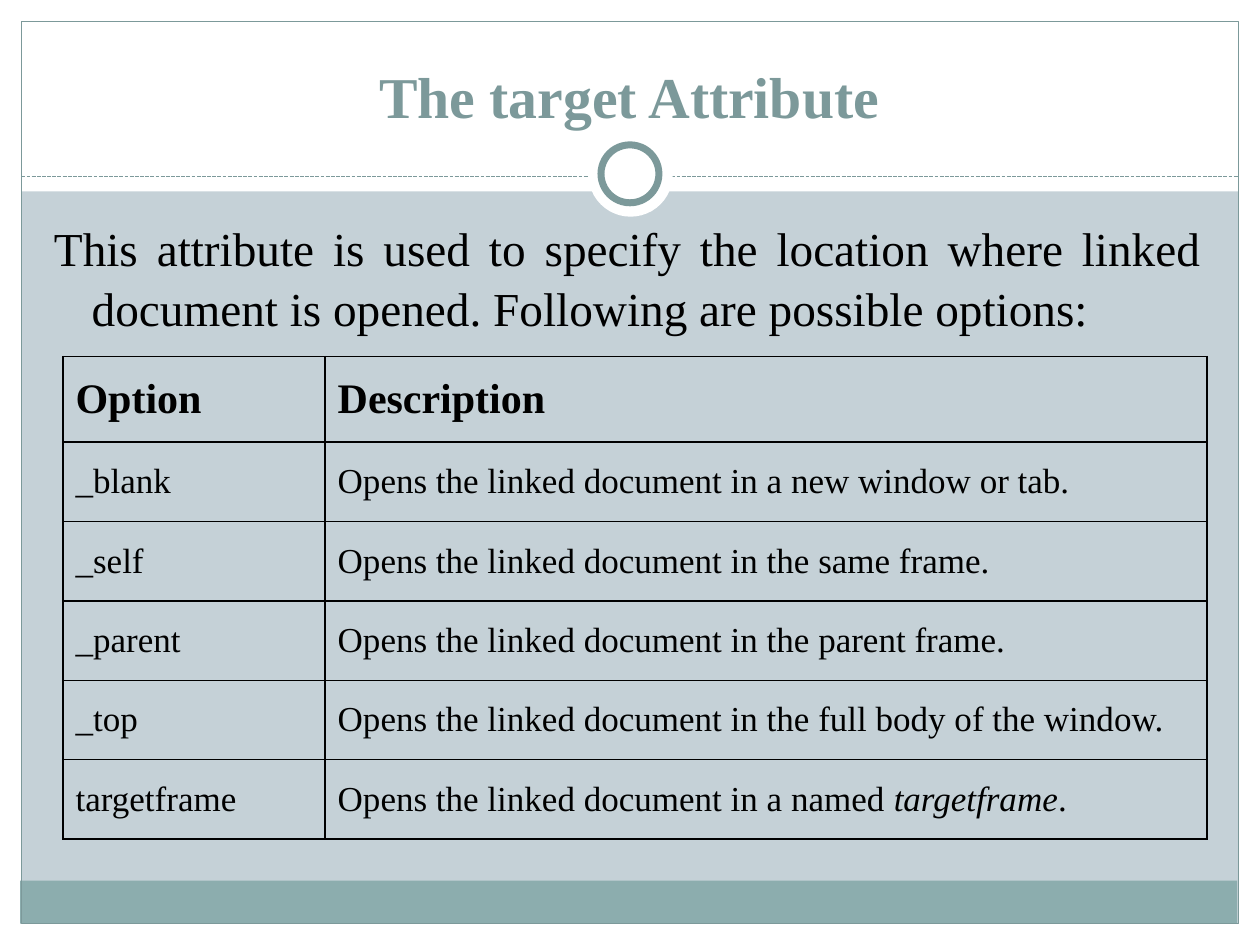
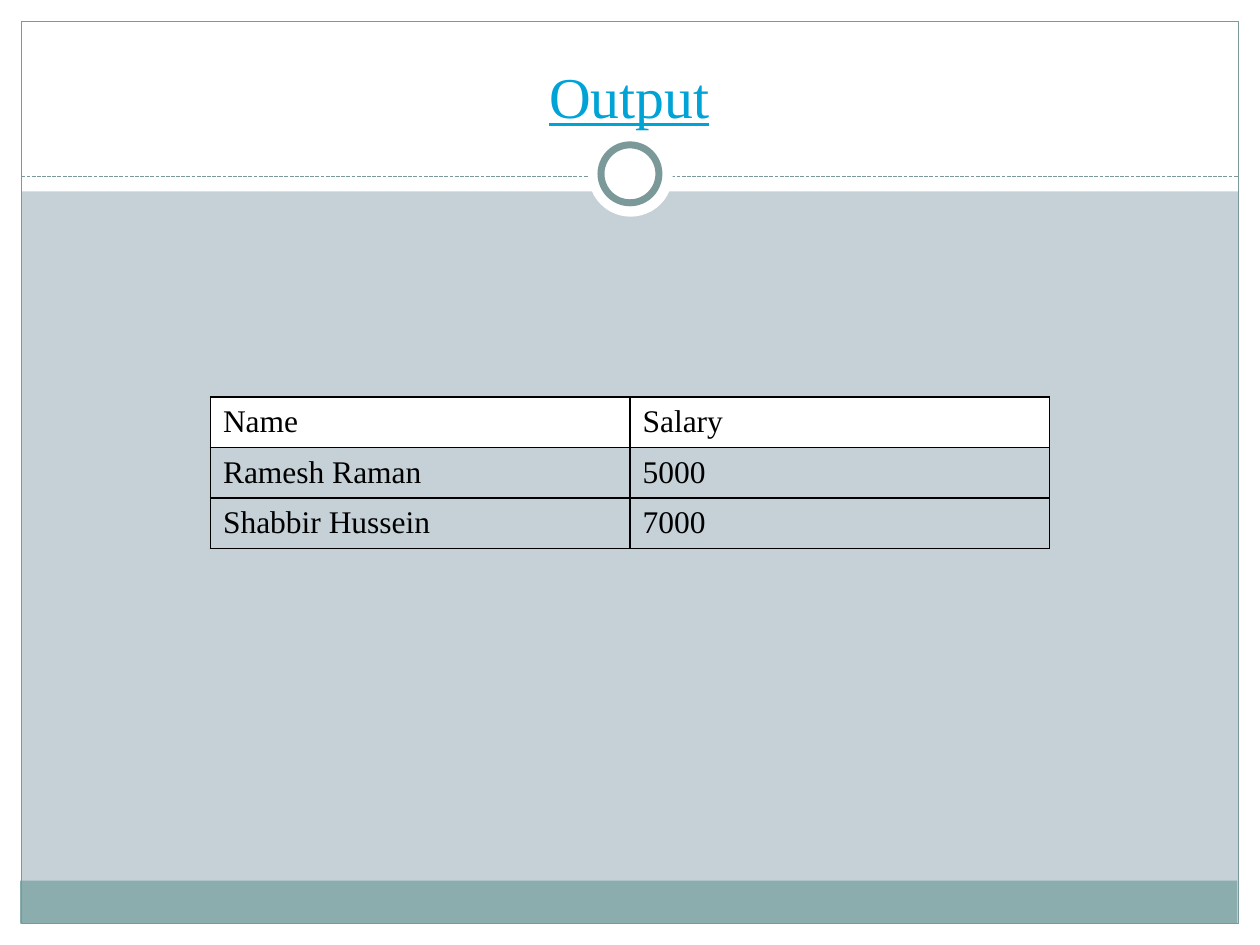
import pptx
import pptx.dml.color
import pptx.enum.dml
import pptx.enum.shapes
import pptx.enum.text
import pptx.oxml
import pptx.oxml.ns
import pptx.util
from lxml import etree

Inches = pptx.util.Inches
Pt = pptx.util.Pt
Align = pptx.enum.text.PP_ALIGN
Anchor = pptx.enum.text.MSO_ANCHOR
Shape = pptx.enum.shapes.MSO_SHAPE

COLORS = {
    "background": "C5D1D7",
    "white": "FFFFFF",
    "footer": "8CADAE",
    "accent": "7C999A",
    "link": "00A3D6",
    "text": "000000",
}
FONT = "Times New Roman"


def rgb(name):
    return pptx.dml.color.RGBColor.from_string(COLORS[name])


class Deck:
    """Holds the style and the current slide."""

    def __init__(self):
        self.presentation = pptx.Presentation()
        self.presentation.slide_width = Inches(10)
        self.presentation.slide_height = Inches(7.5)
        self.slide = None

    def add_slide(self):
        self.slide = self.presentation.slides.add_slide(self.presentation.slide_layouts[6])
        fill = self.slide.background.fill
        fill.solid()
        fill.fore_color.rgb = rgb("background")
        self.add_frame()

    def add_frame(self):
        # White margins and header
        for box in [(0, 7.33, 10, 0.17), (0, 0, 10, 1.52),
                    (0, 0, 0.17, 7.5), (9.83, 0, 0.17, 7.5)]:
            self.add_shape(Shape.RECTANGLE, box, "white")
        # Footer band, outline and dashed rule
        self.add_shape(Shape.RECTANGLE, (0.16, 6.99, 9.66, 0.34), "footer")
        self.add_shape(Shape.RECTANGLE, (0.17, 0.17, 9.66, 7.16), line_width=0.75)
        self.add_dashed_line(0.17, 9.83, 1.4)
        # Ring on the rule
        self.add_shape(Shape.OVAL, (4.67, 1.05, 0.67, 0.67), "white")
        self.add_shape(Shape.OVAL, (4.77, 1.15, 0.46, 0.46), "white", line_width=4)

    def add_shape(self, kind, box, fill=None, line_width=None):
        shape = self.slide.shapes.add_shape(kind, *map(Inches, box))
        shape.shadow.inherit = False
        if fill:
            shape.fill.solid()
            shape.fill.fore_color.rgb = rgb(fill)
        else:
            shape.fill.background()
        if line_width:
            shape.line.color.rgb = rgb("accent")
            shape.line.width = Pt(line_width)
        else:
            shape.line.fill.background()

    def add_dashed_line(self, left, right, top):
        connector = self.slide.shapes.add_connector(
            pptx.enum.shapes.MSO_CONNECTOR.STRAIGHT,
            Inches(left), Inches(top), Inches(right), Inches(top))
        connector.line.color.rgb = rgb("accent")
        connector.line.width = Pt(0.75)
        connector.line.dash_style = pptx.enum.dml.MSO_LINE.SQUARE_DOT
        properties = connector.element.spPr
        etree.SubElement(properties, pptx.oxml.ns.qn("a:effectLst"))

    def add_run(self, paragraph, text, size, color="text", **emphasis):
        run = paragraph.add_run()
        run.text = text
        run.font.name = FONT
        run.font.size = Pt(size)
        run.font.color.rgb = rgb(color)
        for name, value in emphasis.items():
            setattr(run.font, name, value)

    def add_text_box(self, box, anchor, alignment):
        frame = self.slide.shapes.add_textbox(*map(Inches, box)).text_frame
        frame.word_wrap = True
        frame.vertical_anchor = anchor
        paragraph = frame.paragraphs[0]
        paragraph.alignment = alignment
        return paragraph

    def add_title(self, text, color="accent", **emphasis):
        paragraph = self.add_text_box((0.33, 0.25, 9.33, 0.83), Anchor.BOTTOM, Align.CENTER)
        self.add_run(paragraph, text, 33, color, **emphasis)

    def add_body(self, text):
        paragraph = self.add_text_box((0.33, 1.67, 9.3, 5), Anchor.TOP, Align.JUSTIFY)
        paragraph.line_spacing = 1.05
        paragraph.space_before = Pt(1)
        properties = paragraph._p.get_or_add_pPr()
        properties.set("marL", str(Inches(0.3)))
        properties.set("indent", str(Inches(-0.3)))
        self.add_run(paragraph, text, 27)

    def add_table(self, left, top, widths, heights, rows, size,
                  header_size, header_bold=False, header_fill=None):
        """Each cell is a string, or a list of (text, italic) runs."""
        table = self.slide.shapes.add_table(
            len(rows), len(widths), Inches(left), Inches(top),
            Inches(sum(widths)), Inches(sum(heights))).table
        table.first_row = table.horz_banding = False
        for column, width in zip(table.columns, widths):
            column.width = Inches(width)
        for index, (row, height, contents) in enumerate(zip(table.rows, heights, rows)):
            row.height = Inches(height)
            header = index == 0
            for cell, content in zip(row.cells, contents):
                self.style_cell(cell, header_fill if header else None)
                runs = [(content, False)] if isinstance(content, str) else content
                for text, italic in runs:
                    self.add_run(cell.text_frame.paragraphs[0], text,
                                 header_size if header else size,
                                 bold=header and header_bold, italic=italic)

    def style_cell(self, cell, fill):
        cell.vertical_anchor = Anchor.MIDDLE
        properties = cell._tc.get_or_add_tcPr()
        for side in ("lnL", "lnR", "lnT", "lnB"):
            properties.append(pptx.oxml.parse_xml(
                f'<a:{side} {pptx.oxml.ns.nsdecls("a")} w="{Pt(1)}"><a:solidFill>'
                f'<a:srgbClr val="{COLORS["text"]}"/></a:solidFill></a:{side}>'))
        if fill:
            cell.fill.solid()
            cell.fill.fore_color.rgb = rgb(fill)
        else:
            cell.fill.background()


def main():
    deck = Deck()

    # Target attribute options
    deck.add_slide()
    deck.add_title("The target Attribute", bold=True)
    deck.add_body("This attribute is used to specify the location where linked "
                  "document is opened. Following are possible options:")
    opens = "Opens the linked document in "
    options = [
        ("Option", "Description"),
        ("_blank", opens + "a new window or tab."),
        ("_self", opens + "the same frame."),
        ("_parent", opens + "the parent frame."),
        ("_top", opens + "the full body of the window."),
        ("targetframe", [(opens + "a named ", False), ("targetframe", True), (".", False)]),
    ]
    deck.add_table(0.5, 2.83, [2.08, 7], [0.68] + [0.63] * 5, options,
                   size=20, header_size=24, header_bold=True)

    # Salary output
    deck.add_slide()
    deck.add_title("Output", "link", underline=True)
    salaries = [("Name", "Salary"), ("Ramesh Raman", "5000"), ("Shabbir Hussein", "7000")]
    deck.add_table(1.67, 3.15, [3.33] * 2, [0.38] * 3, salaries,
                   size=18, header_size=18, header_fill="white")

    deck.presentation.save("out.pptx")


if __name__ == "__main__":
    main()
